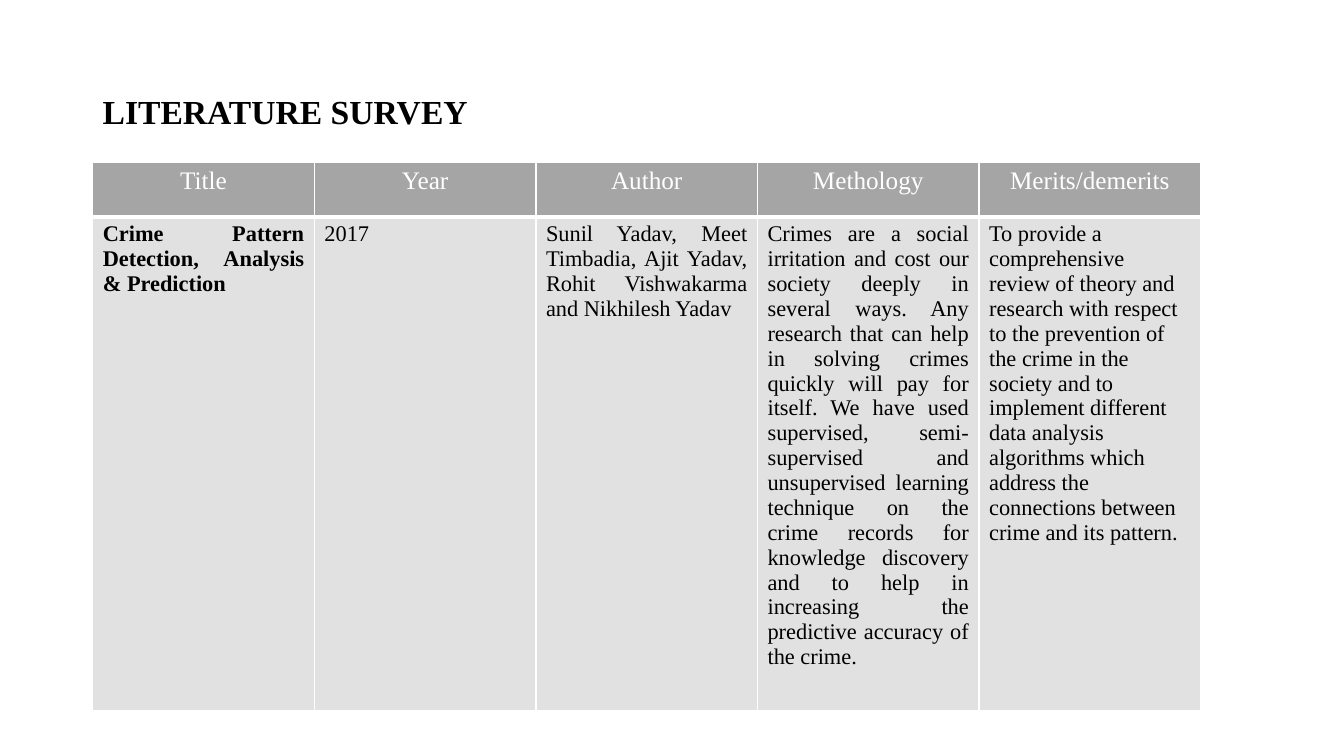
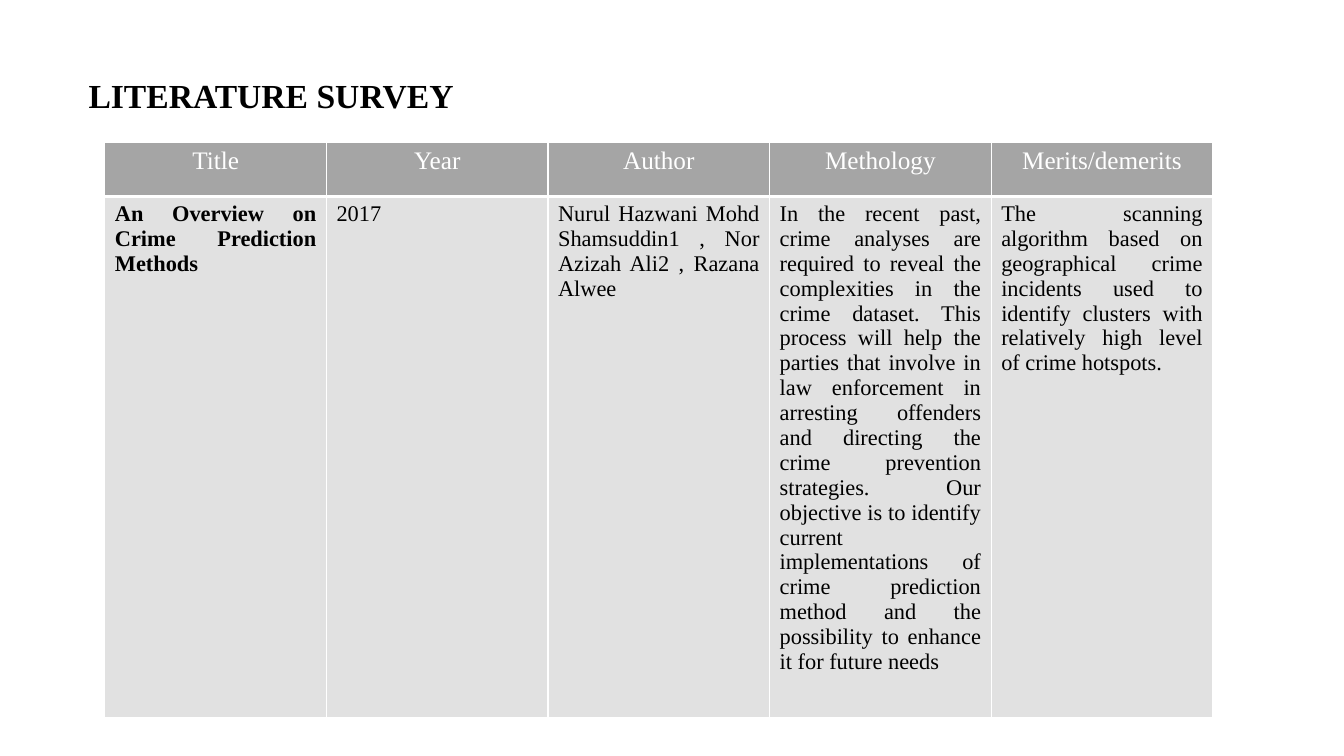
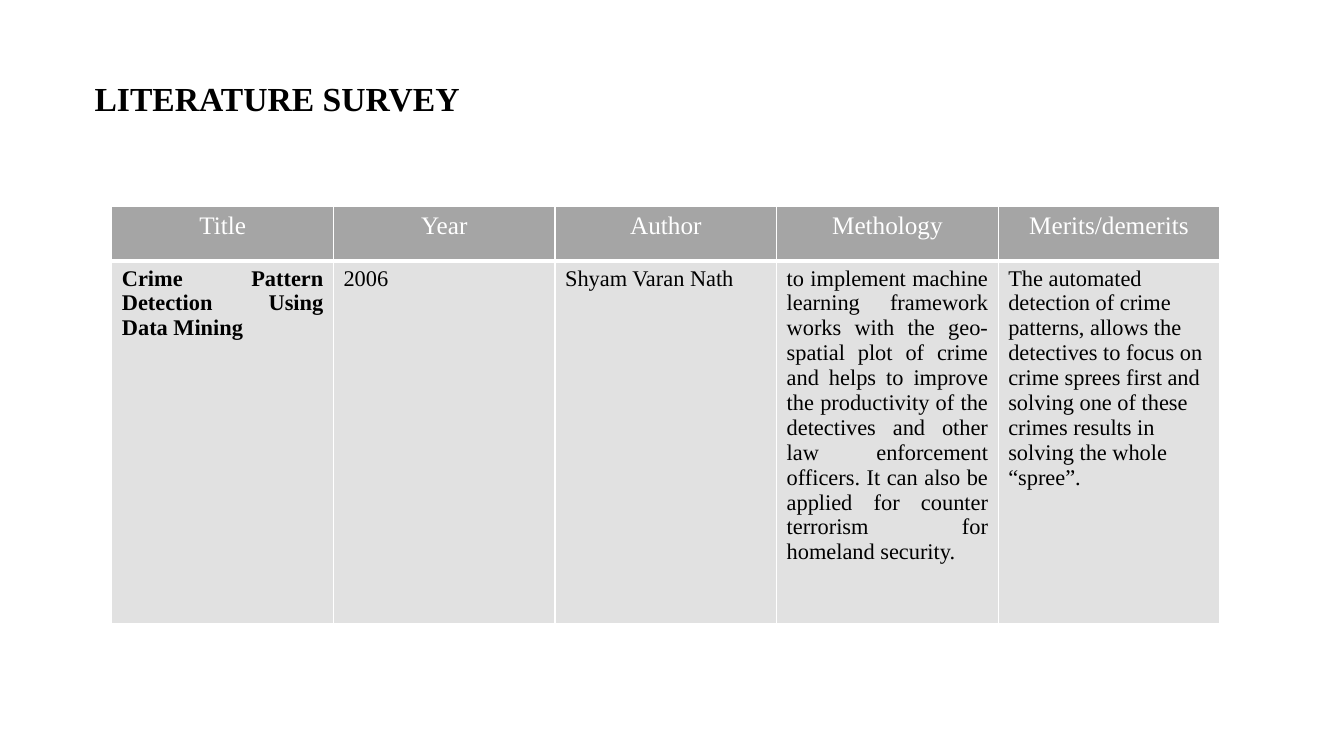
from dataclasses import dataclass

from lxml import etree
from pptx import Presentation
from pptx.dml.color import RGBColor
from pptx.enum.text import MSO_ANCHOR, PP_ALIGN
from pptx.oxml.ns import qn
from pptx.slide import Slide
from pptx.table import _Cell
from pptx.text.text import _Paragraph
from pptx.util import Inches, Pt

CENTER, JUSTIFY, LEFT = PP_ALIGN.CENTER, PP_ALIGN.JUSTIFY, PP_ALIGN.LEFT
MIDDLE = MSO_ANCHOR.MIDDLE


@dataclass(frozen=True)
class Theme:
    font: str = "Times New Roman"
    ink: str = "000000"
    paper: str = "FFFFFF"
    header_fill: str = "A5A5A5"
    body_fill: str = "E1E1E1"
    heading_size: int = 24
    header_size: int = 18
    body_size: int = 16
    thin_rule: int = 1
    thick_rule: int = 3


@dataclass(frozen=True)
class Entry:
    text: str
    align: PP_ALIGN = JUSTIFY
    bold: bool = False


@dataclass(frozen=True)
class Survey:
    heading_at: tuple[float, float]
    table_at: tuple[float, float]
    entries: tuple[Entry, ...]


THEME = Theme()
HEADING = "LITERATURE SURVEY"
HEADERS = ("Title", "Year", "Author", "Methology", "Merits/demerits")
HEADING_WIDTH, HEADING_HEIGHT = 11.5, 1.45
TABLE_WIDTH = 10.99
ROW_HEIGHTS = (0.54, 3.6)

SURVEYS = (
    Survey((0.92, 0.4), (0.92, 1.61), (
        Entry("Crime Pattern Detection, Analysis & Prediction", bold=True),
        Entry("2017"),
        Entry("Sunil Yadav, Meet Timbadia, Ajit Yadav, Rohit Vishwakarma "
              "and Nikhilesh Yadav"),
        Entry("Crimes are a social irritation and cost our society deeply in "
              "several ways. Any research that can help in solving crimes "
              "quickly will pay for itself. We have used supervised, "
              "semi-supervised and unsupervised learning technique on the "
              "crime records for knowledge discovery and to help in "
              "increasing the predictive accuracy of the crime."),
        Entry("To provide a comprehensive review of theory and research with "
              "respect to the prevention of the crime in the society and to "
              "implement different data analysis algorithms which address "
              "the connections between crime and its pattern.", LEFT),
    )),
    Survey((0.78, 0.24), (1.04, 1.41), (
        Entry("An Overview on Crime Prediction Methods", bold=True),
        Entry("2017"),
        Entry("Nurul Hazwani Mohd Shamsuddin1 , Nor Azizah Ali2 , "
              "Razana Alwee"),
        Entry("In the recent past, crime analyses are required to reveal the "
              "complexities in the crime dataset. This process will help the "
              "parties that involve in law enforcement in arresting offenders "
              "and directing the crime prevention strategies. Our objective "
              "is to identify current implementations of crime prediction "
              "method and the possibility to enhance it for future needs"),
        Entry("The scanning algorithm based on geographical crime incidents "
              "used to identify clusters with relatively high level of crime "
              "hotspots."),
    )),
    Survey((0.84, 0.27), (1.11, 2.05), (
        Entry("Crime Pattern Detection Using Data Mining", bold=True),
        Entry("2006"),
        Entry("Shyam Varan Nath", LEFT),
        Entry("to implement machine learning framework works with the "
              "geo-spatial plot of crime and helps to improve the "
              "productivity of the detectives and other law enforcement "
              "officers. It can also be applied for counter terrorism for "
              "homeland security."),
        Entry("The automated detection of crime patterns, allows the "
              "detectives to focus on crime sprees first and solving one of "
              "these crimes results in solving the whole “spree”.", LEFT),
    )),
)


def write(paragraph: _Paragraph, entry: Entry, size: int, color: str) -> None:
    paragraph.alignment = entry.align
    run = paragraph.add_run()
    run.text = entry.text
    font_format = {"name": THEME.font, "size": Pt(size), "bold": entry.bold}
    for attribute, value in font_format.items():
        setattr(run.font, attribute, value)
    run.font.color.rgb = RGBColor.from_string(color)


def rule_cell(cell: _Cell, bottom: int) -> None:
    properties = cell._tc.get_or_add_tcPr()
    thin = THEME.thin_rule
    for side, width in {"L": thin, "R": thin, "T": thin, "B": bottom}.items():
        rule = etree.SubElement(properties, qn(f"a:ln{side}"), w=str(Pt(width)))
        fill = etree.SubElement(rule, qn("a:solidFill"))
        etree.SubElement(fill, qn("a:srgbClr"), val=THEME.paper)


def fill_cell(cell: _Cell, entry: Entry, is_header: bool) -> None:
    rule_cell(cell, THEME.thick_rule if is_header else THEME.thin_rule)
    cell.fill.solid()
    cell.fill.fore_color.rgb = RGBColor.from_string(
        THEME.header_fill if is_header else THEME.body_fill)
    write(cell.text_frame.paragraphs[0], entry,
          THEME.header_size if is_header else THEME.body_size,
          THEME.paper if is_header else THEME.ink)


def add_heading(slide: Slide, position: tuple[float, float]) -> None:
    left, top = position
    heading = slide.shapes.add_textbox(
        Inches(left), Inches(top), Inches(HEADING_WIDTH), Inches(HEADING_HEIGHT))
    frame = heading.text_frame
    for attribute, value in {"word_wrap": True, "vertical_anchor": MIDDLE}.items():
        setattr(frame, attribute, value)
    paragraph = frame.paragraphs[0]
    paragraph.line_spacing = 0.9
    write(paragraph, Entry(HEADING, LEFT, True), THEME.heading_size, THEME.ink)


def add_survey_table(slide: Slide, survey: Survey) -> None:
    left, top = survey.table_at
    rows = (tuple(Entry(header, CENTER) for header in HEADERS), survey.entries)
    table = slide.shapes.add_table(
        len(rows), len(HEADERS), Inches(left), Inches(top),
        Inches(TABLE_WIDTH), Inches(sum(ROW_HEIGHTS))).table
    for column in table.columns:
        column.width = Inches(TABLE_WIDTH / len(HEADERS))
    for row_index, (entries, height) in enumerate(zip(rows, ROW_HEIGHTS)):
        table.rows[row_index].height = Inches(height)
        for column_index, entry in enumerate(entries):
            fill_cell(table.cell(row_index, column_index), entry, row_index == 0)


def main() -> None:
    deck = Presentation()
    deck.slide_width, deck.slide_height = Inches(13.33), Inches(7.5)
    blank = deck.slide_layouts[6]
    for survey in SURVEYS:
        slide = deck.slides.add_slide(blank)
        add_heading(slide, survey.heading_at)
        add_survey_table(slide, survey)
    deck.save("out.pptx")


if __name__ == "__main__":
    main()
